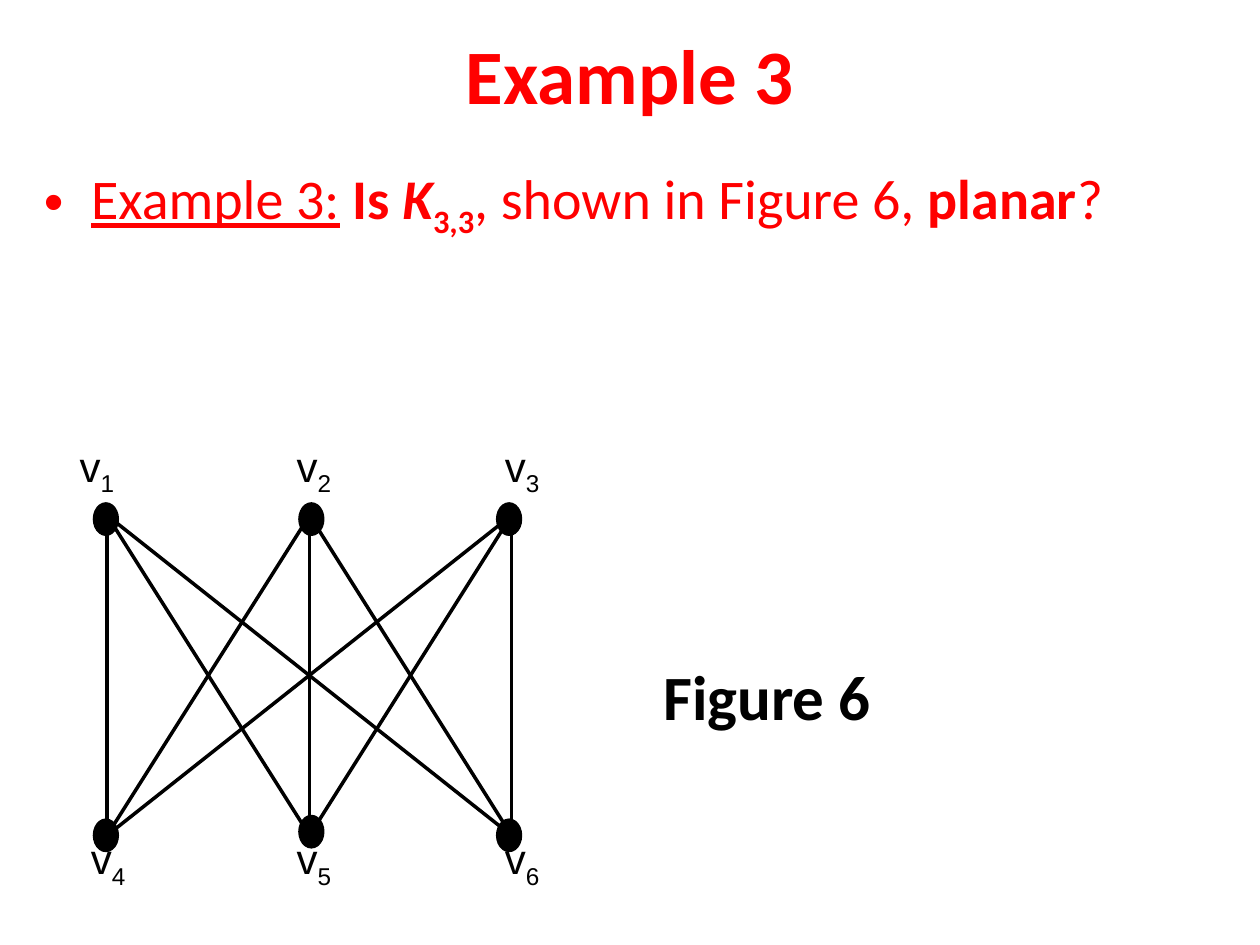
from itertools import product
from typing import NamedTuple

from lxml import etree
from pptx import Presentation
from pptx.dml.color import RGBColor
from pptx.enum import shapes, text
from pptx.oxml import ns
from pptx.util import Pt

RED, BLACK = "FF0000", "000000"


class Run(NamedTuple):
    words: str
    bold: bool = False
    italic: bool = False
    under: bool = False
    sub: bool = False


class Node(NamedTuple):
    name: str
    left: float
    top: float
    tag_x: float
    tag_y: float


class Style(NamedTuple):
    font: str
    size: float
    color: str


def paint(target, color: str) -> None:
    """Give a fill or a font its colour."""
    target.rgb = RGBColor.from_string(color)


def add_text(slide, box: tuple, runs: list[Run], style: Style,
             inset: bool = True, wrap: bool = True):
    shape = slide.shapes.add_textbox(*map(Pt, box))
    frame = shape.text_frame
    frame.word_wrap = wrap
    if not inset:
        frame.margin_left = frame.margin_right = 0
        frame.margin_top = frame.margin_bottom = 0
    para = frame.paragraphs[0]
    para.font.name, para.font.size = style.font, Pt(style.size)
    paint(para.font.color, style.color)
    for item in runs:
        run = para.add_run()
        run.text = item.words
        font = run.font
        font.name, font.size = style.font, Pt(style.size)
        paint(font.color, style.color)
        font.bold, font.italic = item.bold, item.italic
        font.underline = item.under
        if item.sub:
            run._r.get_or_add_rPr().set("baseline", "-25000")
    return frame


def add_bullet(para, indent: float) -> None:
    props = para._p.get_or_add_pPr()
    props.set("marL", str(Pt(indent)))
    props.set("indent", str(-Pt(indent)))
    font = etree.Element(ns.qn("a:buFont"), typeface="Arial")
    mark = etree.Element(ns.qn("a:buChar"), char="•")
    props.insert(0, font)
    font.addnext(mark)


def add_edge(slide, start: tuple, end: tuple) -> None:
    line = slide.shapes.add_connector(
        shapes.MSO_CONNECTOR.STRAIGHT, *map(Pt, start + end))
    line.line.width = Pt(2)
    paint(line.line.color, BLACK)
    etree.SubElement(line._element.spPr, ns.qn("a:effectLst"))


def add_node(slide, node: Node) -> None:
    dot = slide.shapes.add_shape(
        shapes.MSO_SHAPE.OVAL, Pt(node.left), Pt(node.top), Pt(13), Pt(17.3))
    dot.shadow.inherit = False
    dot.fill.solid()
    paint(dot.fill.fore_color, BLACK)
    dot.line.width = Pt(2)
    paint(dot.line.color, BLACK)
    add_text(slide, (node.tag_x, node.tag_y, 30, 30),
             [Run("v"), Run(node.name, sub=True)],
             Style("Arial", 24, BLACK), inset=False, wrap=False)


NODES = [
    Node("1", 54, 288, 45.5, 251.5),
    Node("2", 171.4, 288, 169.5, 251.5),
    Node("3", 284.4, 288, 288.5, 251.5),
    Node("4", 54, 468.7, 52, 476),
    Node("5", 171.4, 466.6, 169.5, 476),
    Node("6", 284.4, 468.7, 288.5, 476),
]
COLS = (61.2, 176.9, 292.3)
HIGH, LOW = 294.5, 477.4


def main() -> None:
    deck = Presentation()
    deck.slide_width, deck.slide_height = Pt(720), Pt(540)
    slide = deck.slides.add_slide(deck.slide_layouts[6])

    title = add_text(slide, (36, 12, 648, 60), [Run("Example 3", bold=True)],
                     Style("Calibri", 44, RED))
    title.vertical_anchor = text.MSO_ANCHOR.MIDDLE
    title.paragraphs[0].alignment = text.PP_ALIGN.CENTER

    body = add_text(slide, (18, 90, 678, 114), [
        Run("Example 3:", under=True),
        Run(" "),
        Run("Is ", bold=True),
        Run("K", bold=True, italic=True),
        Run("3,3", bold=True, sub=True),
        Run(", shown in Figure 6, "),
        Run("planar", bold=True),
        Run("?"),
    ], Style("Calibri", 32, RED))
    add_bullet(body.paragraphs[0], 27)

    for a, b in product(COLS, COLS):
        add_edge(slide, (a, HIGH), (b, LOW))
    for node in NODES:
        add_node(slide, node)

    add_text(slide, (372, 372, 135, 51), [Run("Figure 6", bold=True)],
             Style("Calibri", 36, BLACK), wrap=False)
    deck.save("out.pptx")


if __name__ == "__main__":
    main()
